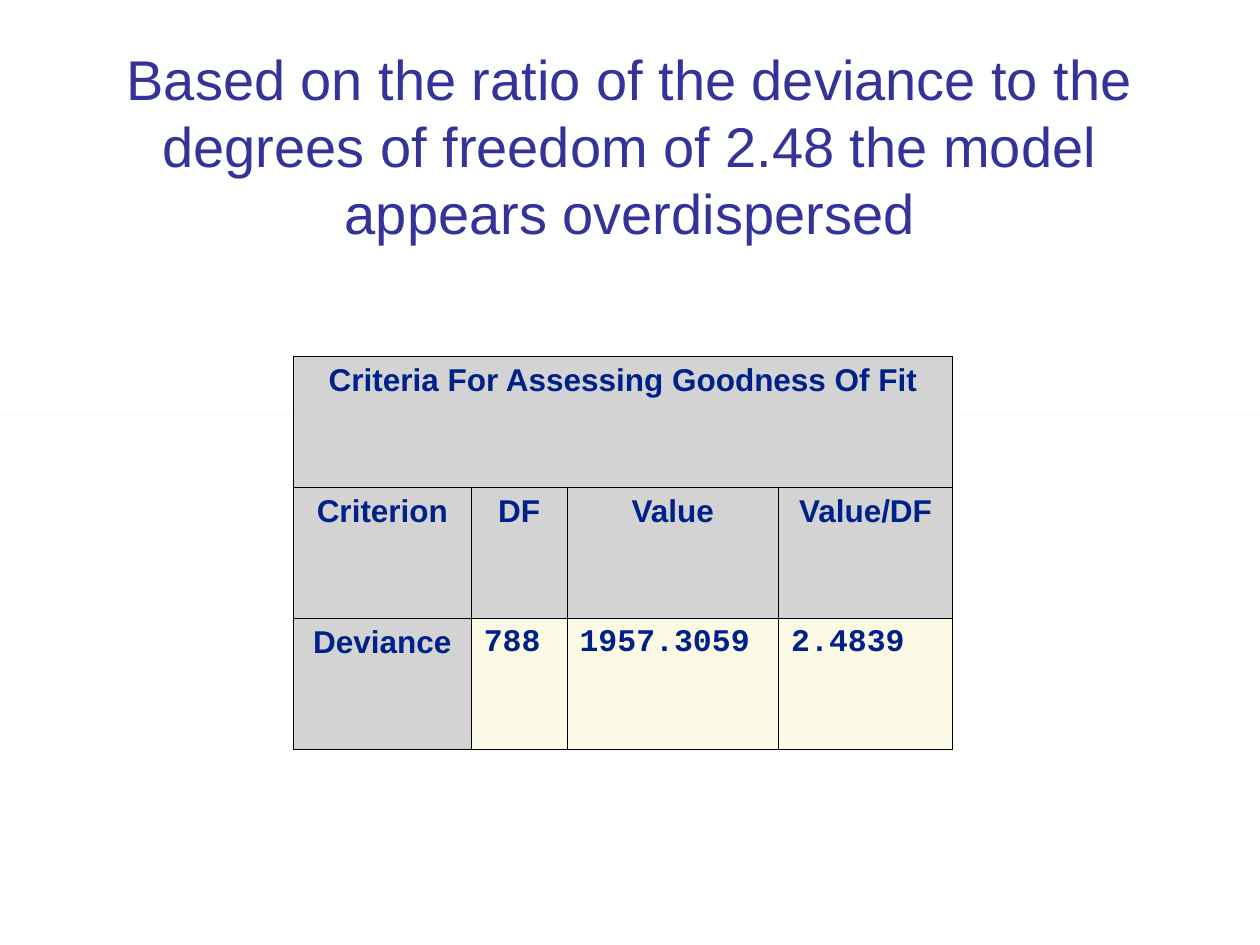
from lxml import etree
from pptx import Presentation
from pptx.dml.color import RGBColor
from pptx.enum import shapes, text
from pptx.oxml.ns import qn
from pptx.util import Inches, Pt

COLORS = {"title": "333399", "text": "002288", "header": "D3D3D3",
          "data": "FCFAE5", "border": "000000"}
ROWS = [["Criteria For Assessing Goodness Of Fit", "", "", ""],
        ["Criterion", "DF", "Value", "Value/DF"],
        ["Deviance", "788", "1957.3059", "2.4839"]]
COL_WIDTHS = [1.41, 0.76, 1.68, 1.38]
ROW_HEIGHT = 1.04


def rgb(name):
    return RGBColor.from_string(COLORS[name])


def add_borders(cell):
    tc_pr = cell._tc.get_or_add_tcPr()
    for side in ("lnL", "lnR", "lnT", "lnB"):
        ln = etree.SubElement(tc_pr, qn(f"a:{side}"), w=str(Pt(0.34)))
        fill = etree.SubElement(ln, qn("a:solidFill"))
        etree.SubElement(fill, qn("a:srgbClr"), val=COLORS["border"])


prs = Presentation()
prs.slide_width, prs.slide_height = Inches(10), Inches(7.5)
s = prs.slides.add_slide(prs.slide_layouts[5])

title = s.shapes.title
title.left, title.top = Inches(0.5), Inches(0.3)
title.width, title.height = Inches(9), Inches(1.7)
tf = title.text_frame
tf.text = ("Based on the ratio of the deviance to the degrees of freedom "
           "of 2.48 the model appears overdispersed")
tf.word_wrap = True
tf.auto_size = text.MSO_AUTO_SIZE.NONE
tf.vertical_anchor = text.MSO_ANCHOR.MIDDLE
p = tf.paragraphs[0]
p.alignment = text.PP_ALIGN.CENTER
p.font.name, p.font.size = "Arial", Pt(32)
p.font.color.rgb = rgb("title")

rule = s.shapes.add_shape(shapes.MSO_SHAPE.RECTANGLE, 0, Inches(3.3), Inches(10), 0)
rule.shadow.inherit = False
rule.fill.solid()
rule.fill.fore_color.rgb = rgb("header")
rule.line.fill.background()

table = s.shapes.add_table(
    len(ROWS), len(COL_WIDTHS), Inches(2.33), Inches(2.83),
    Inches(sum(COL_WIDTHS)), Inches(ROW_HEIGHT * len(ROWS))).table
for column, width in zip(table.columns, COL_WIDTHS):
    column.width = Inches(width)
for row in table.rows:
    row.height = Inches(ROW_HEIGHT)
table.cell(0, 0).merge(table.cell(0, 3))

for i, values in enumerate(ROWS):
    for j, value in enumerate(values):
        is_data = i == 2 and j > 0
        cell = table.cell(i, j)
        add_borders(cell)
        cell.fill.solid()
        cell.fill.fore_color.rgb = rgb("data" if is_data else "header")
        if cell.is_spanned:
            continue
        cell.text = value
        p = cell.text_frame.paragraphs[0]
        p.alignment = text.PP_ALIGN.LEFT if is_data else text.PP_ALIGN.CENTER
        p.font.name = "Courier New" if is_data else "Arial"
        p.font.size, p.font.bold = Pt(18), True
        p.font.color.rgb = rgb("text")

prs.save("out.pptx")
